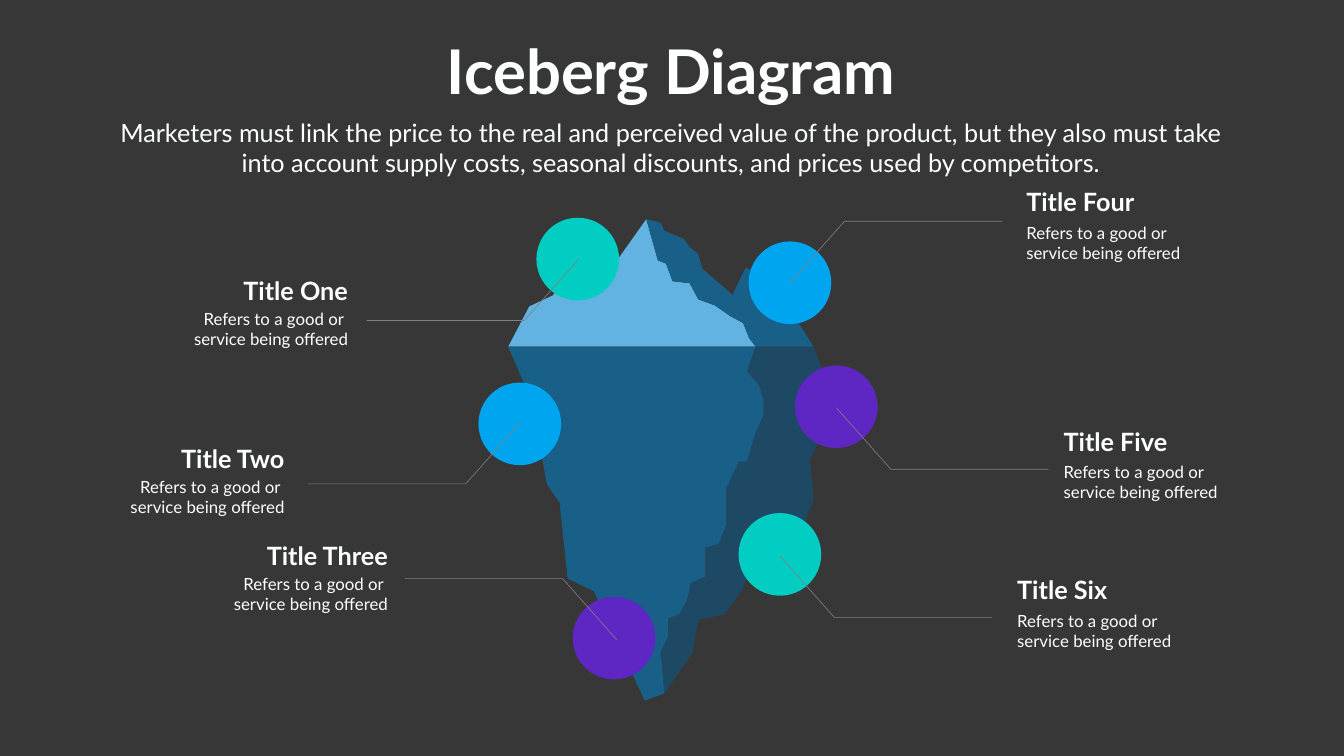
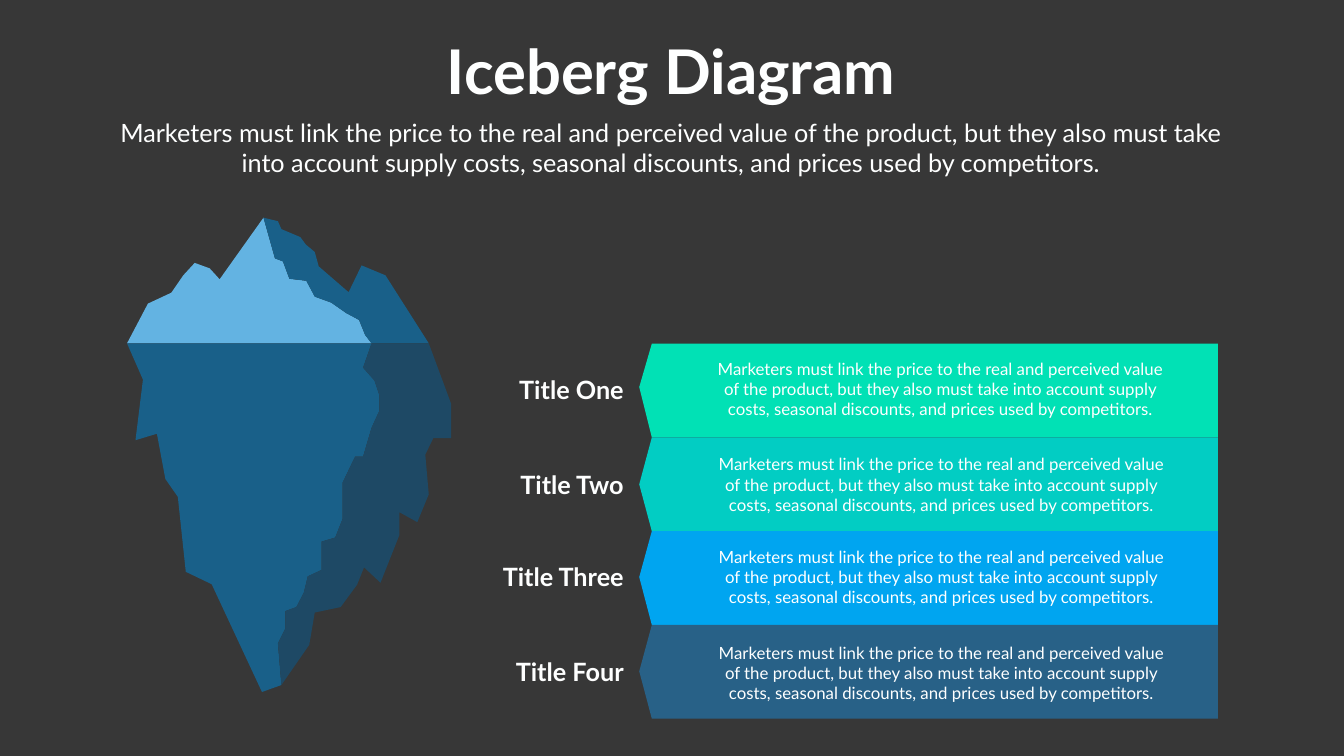
from pptx import Presentation
from pptx import util as u
from pptx.dml.color import RGBColor
from pptx.enum import shapes, text

# Grid: cells one inch wide and high
CELL = u.Inches(1)
COLUMNS, ROWS = 26.66, 15

FONT = "Lato"
GROUND = RGBColor(0x37, 0x37, 0x37)
WHITE = RGBColor(0xFE, 0xFF, 0xFF)
GREY = RGBColor(0x80, 0x80, 0x80)
ICE_LIGHT = RGBColor(0x63, 0xB3, 0xE2)
ICE_MID = RGBColor(0x19, 0x60, 0x89)
ICE_DARK = RGBColor(0x1E, 0x49, 0x65)
PURPLE = RGBColor(0x5E, 0x26, 0xC3)
BLUE = RGBColor(0x00, 0xA5, 0xF0)
TEAL = RGBColor(0x02, 0xCD, 0xC3)
MINT = RGBColor(0x01, 0xE1, 0xB5)
STEEL = RGBColor(0x28, 0x61, 0x87)

LEFT, CENTER, RIGHT = text.PP_ALIGN.LEFT, text.PP_ALIGN.CENTER, text.PP_ALIGN.RIGHT

HEADING = "Iceberg Diagram"
SUMMARY = ("Marketers must link the price to the real and perceived value of the product, "
           "but they also must take into account supply costs, seasonal discounts, "
           "and prices used by competitors.")

# Iceberg outlines, from the top left of a berg of this size
BERG_WIDTH, BERG_HEIGHT = 6.51, 9.55
TOP_RIDGE = [(2.74, 0), (2.97, 0.82), (3.13, 0.88), (3.26, 1.23), (3.6, 1.27), (3.77, 1.59),
             (4.1, 1.71), (4.4, 1.92), (4.66, 2.06), (4.78, 2.36), (4.91, 2.53)]
TOP_LEFT = [(0, 2.53), (0.42, 1.73), (0.89, 1.51), (1.13, 1.16), (1.36, 0.91),
            (1.66, 1.02), (1.86, 1.24)]
TOP_RIGHT = [(6.06, 2.53), (5.19, 1.16), (4.71, 0.96), (4.45, 1.5), (3.85, 0.98),
             (3.77, 0.69), (3.59, 0.54), (3.48, 0.39), (3.1, 0.23), (3.03, 0.07)]
DEEP_RIDGE = [(4.91, 2.53), (4.74, 3.02), (4.97, 3.28), (5.07, 3.58), (5.07, 3.88),
              (4.91, 4.23), (4.74, 4.81), (4.58, 4.81), (4.33, 5.33), (4.33, 6.06),
              (4.18, 6.44), (3.91, 6.52), (3.91, 7.09), (3.63, 7.22), (3.55, 7.55),
              (3.4, 7.84), (3.18, 7.92), (3.18, 8.27), (3.03, 8.57), (3.1, 9.41)]
DEEP_LEFT = [(2.71, 9.55), (1.7, 7.38), (1.18, 7.13), (1.02, 5.62), (0.77, 5.26),
             (0.6, 4.35), (0.17, 4.48), (0.32, 3.26), (0, 2.53)]
DEEP_RIGHT = [(3.66, 8.6), (3.77, 7.95), (4.29, 7.84), (4.62, 7.39), (4.76, 7.04),
              (5.09, 7.35), (5.47, 6.39), (5.47, 5.93), (5.83, 6.13), (6.06, 5.57),
              (5.99, 4.77), (6.15, 4.44), (6.51, 4.44), (6.51, 3.75), (6.06, 2.53)]
BERG_FACES = [(TOP_RIDGE + TOP_LEFT, ICE_LIGHT), (TOP_RIDGE + TOP_RIGHT, ICE_MID),
              (DEEP_RIDGE + DEEP_LEFT, ICE_MID), (DEEP_RIDGE + DEEP_RIGHT, ICE_DARK)]


def grid(*cells):
    return [round(cell * CELL) for cell in cells]


def write(frame, words, size=24, bold=False, color=WHITE, align=LEFT):
    for index, line in enumerate(words.split("\n")):
        para = frame.paragraphs[0] if index == 0 else frame.add_paragraph()
        para.alignment = align
        span = para.add_run()
        span.text = line
        span.font.name, span.font.size = FONT, u.Pt(size)
        span.font.bold, span.font.color.rgb = bold, color


class Page:
    """The current slide in the house style."""

    def __init__(self, deck):
        self.slide = deck.slides.add_slide(deck.slide_layouts[6])
        fill = self.slide.background.fill
        fill.solid()
        fill.fore_color.rgb = GROUND

    def paint(self, shape, color):
        shape.shadow.inherit = False
        shape.fill.solid()
        shape.fill.fore_color.rgb = color
        shape.line.fill.background()

    def outline(self, points, close):
        start, *others = [grid(*point) for point in points]
        builder = self.slide.shapes.build_freeform(*start)
        builder.add_line_segments(others, close=close)
        return builder.convert_to_shape()

    def face(self, points, color):
        self.paint(self.outline(points, True), color)

    def leader(self, points):
        shape = self.outline(points, False)
        shape.shadow.inherit = False
        shape.fill.background()
        shape.line.color.rgb, shape.line.width = GREY, u.Pt(0.88)

    def disc(self, x, y, color, size=1.64):
        place = grid(x - size / 2, y - size / 2, size, size)
        self.paint(self.slide.shapes.add_shape(shapes.MSO_SHAPE.OVAL, *place), color)

    def label(self, words, left, top, width, height, wrap=True, **style):
        box = self.slide.shapes.add_textbox(*grid(left, top, width, height))
        box.text_frame.word_wrap = wrap
        box.text_frame.auto_size = text.MSO_AUTO_SIZE.SHAPE_TO_FIT_TEXT
        write(box.text_frame, words, **style)

    def header(self):
        self.label(HEADING, 8.66, 0.61, 9.3, 1.58, wrap=False, size=88, bold=True, align=CENTER)
        self.label(SUMMARY, 2.2, 2.27, 22.21, 1.31, size=36, align=CENTER)

    def iceberg(self, left, top, width, height):
        for points, color in BERG_FACES:
            self.face([(left + x * width / BERG_WIDTH, top + y * height / BERG_HEIGHT)
                       for x, y in points], color)

    def callout(self, title, title_width, edge, top, side):
        """Title over two lines; edge is the side nearest the iceberg."""
        left_side = side < 0
        align = RIGHT if left_side else LEFT
        body = "Refers to a good or" + (" " if left_side else "") + "\nservice being offered"
        gap = 0.66 if left_side else 0.71
        for words, width, y, height, size in ((title, title_width, top, 0.71, 36),
                                              (body, 3.4, top + gap, 0.91, 24)):
            self.label(words, edge - width if left_side else edge, y, width, height,
                       size=size, bold=size == 36, align=align)


def callout_slide(deck):
    page = Page(deck)
    page.iceberg(10.08, 4.35, BERG_WIDTH, BERG_HEIGHT)

    # Title, title width, text edge and top, disc centre, colour, leader start, side, rise
    topics = [
        ("Title One", 2.39, 7, 5.42, (11.46, 5.14), TEAL, (11.48, 5.14), -1, 1),
        ("Title Two", 2.39, 5.74, 8.74, (10.31, 8.41), BLUE, (10.32, 8.38), -1, 1),
        ("Title Three", 2.66, 7.79, 10.68, (12.18, 12.66), PURPLE, (12.24, 12.7), -1, -1),
        ("Title Four", 2.39, 20.26, 3.65, (15.67, 5.61), BLUE, (15.67, 5.61), 1, -1),
        ("Title Five", 2.39, 21, 8.4, (16.59, 8.07), PURPLE, (16.59, 8.09), 1, 1),
        ("Title Six", 2, 20.08, 11.35, (15.47, 11), TEAL, (15.47, 11.03), 1, 1),
    ]
    for title, width, edge, top, centre, color, (x, y), side, rise in topics:
        page.disc(*centre, color)
        bend_y = y + rise * 1.22
        page.leader([(x, y), (x + side * 1.08, bend_y), (x + side * 4.21, bend_y)])
        page.callout(title, width, edge, top, side)
    page.header()


def band_slide(deck):
    page = Page(deck)
    page.iceberg(2.52, 4.32, 6.43, 9.41)
    page.header()

    # Stacked bands with a pointed left end
    tip, left, right, first, height = 12.68, 12.93, 24.16, 6.82, 1.86
    # Title, title left and top, tip row, text left and top, colour
    bands = [
        ("Title One", 10.08, 7.37, 7.68, 14.1, 7.06, MINT),
        ("Title Two", 10.09, 9.27, 9.61, 14.12, 8.96, TEAL),
        ("Title Three", 9.76, 11.09, 11.45, 14.12, 10.79, BLUE),
        ("Title Four", 9.76, 12.98, 13.32, 14.12, 12.7, STEEL),
    ]
    for index, (title, title_left, title_top, tip_row, x, y, color) in enumerate(bands):
        top = first + index * height
        bottom = top + height
        page.face([(right, bottom), (left, bottom), (tip, tip_row), (left, top), (right, top)],
                  color)
        page.label(SUMMARY, x, y, 9.1, 1.31, align=CENTER)
        page.label(title, title_left, title_top, 12.47 - title_left, 0.71,
                   size=36, bold=True, align=RIGHT)


def main():
    deck = Presentation()
    deck.slide_width, deck.slide_height = grid(COLUMNS, ROWS)
    callout_slide(deck)
    band_slide(deck)
    deck.save("out.pptx")


if __name__ == "__main__":
    main()
